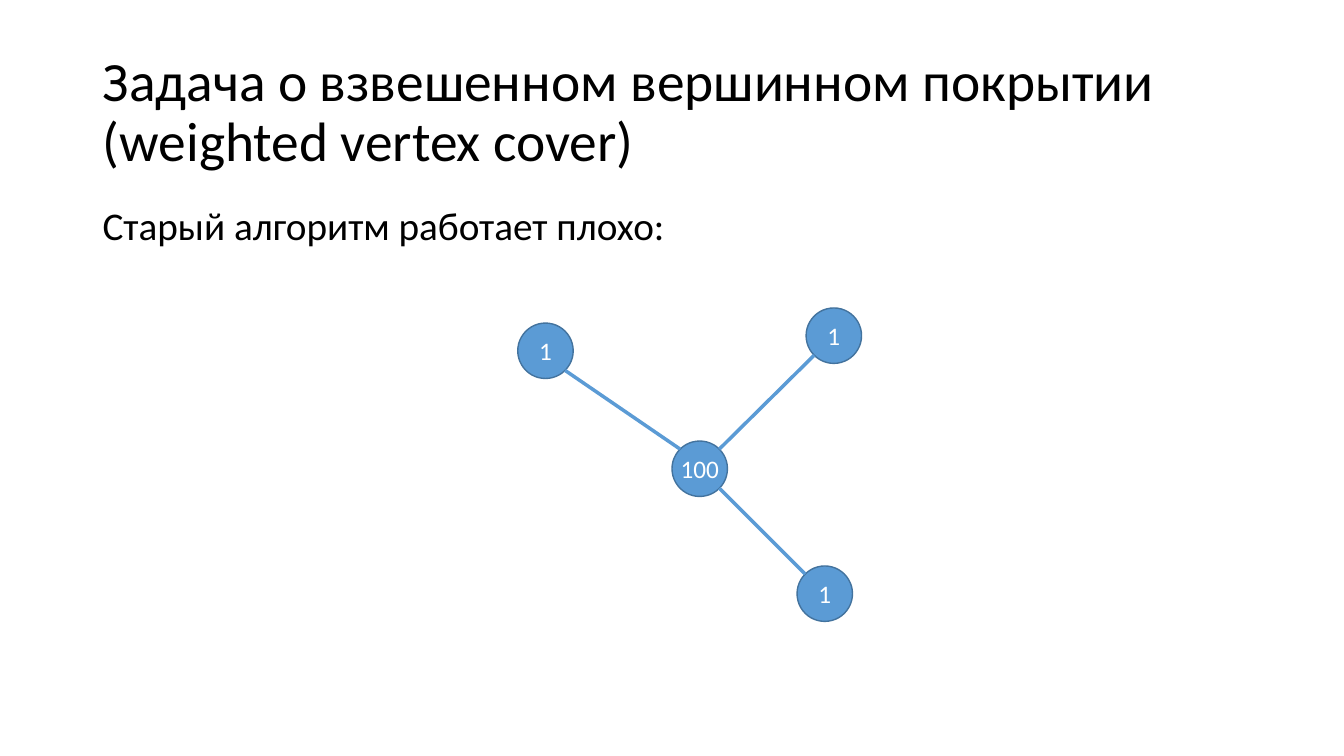
from dataclasses import dataclass
from math import copysign, sqrt

from lxml import etree
from pptx import Presentation
from pptx.dml.color import RGBColor
from pptx.enum.shapes import MSO_CONNECTOR, MSO_SHAPE
from pptx.enum.text import MSO_ANCHOR, MSO_AUTO_SIZE, PP_ALIGN
from pptx.oxml.ns import qn
from pptx.util import Inches, Pt

OVAL, STRAIGHT = MSO_SHAPE.OVAL, MSO_CONNECTOR.STRAIGHT
MIDDLE, TOP, NO_FIT = MSO_ANCHOR.MIDDLE, MSO_ANCHOR.TOP, MSO_AUTO_SIZE.NONE
LEFT, CENTER = PP_ALIGN.LEFT, PP_ALIGN.CENTER

# Content
TITLE = "Задача о взвешенном вершинном покрытии\v(weighted vertex cover)"
STATEMENT = "Старый алгоритм работает плохо:"
# Vertex: weight and centre, in inches
VERTICES = {
    "hub": ("100", 6.94, 4.65),
    "upper right": ("1", 8.27, 3.33),
    "upper left": ("1", 5.41, 3.48),
    "lower right": ("1", 8.18, 5.89),
}
EDGES = [("upper left", "hub"), ("upper right", "hub"), ("hub", "lower right")]

# Layout, in inches
SLIDE_WIDTH, SLIDE_HEIGHT = 13.33, 7.5
MARGIN = 0.92
TEXT_WIDTH = 11.5
TITLE_TOP, TITLE_HEIGHT = 0.4, 1.45
BODY_TOP, BODY_HEIGHT = 2, 4.76
DIAMETER = 0.55


@dataclass(frozen=True)
class Theme:
    font: str = "Calibri"
    ink: RGBColor = RGBColor(0, 0, 0)
    paper: RGBColor = RGBColor(255, 255, 255)
    accent: RGBColor = RGBColor(0x5B, 0x9B, 0xD5)
    outline: RGBColor = RGBColor(0x43, 0x73, 0x9E)
    title_size: float = 39.6
    body_size: float = 28
    weight_size: float = 18
    outline_width: float = 1
    edge_width: float = 2.5
    line_spacing: float = 0.9


THEME = Theme()


def write(shape, text, size, color, align, anchor):
    """Put one formatted paragraph into a shape and return it."""
    frame = shape.text_frame
    frame.auto_size = NO_FIT
    frame.vertical_anchor = anchor
    para = frame.paragraphs[0]
    para.text = text
    para.alignment = align
    para.font.name = THEME.font
    para.font.size = Pt(size)
    para.font.color.rgb = color
    return para


def add_texts(page):
    title = page.shapes.title
    title.left, title.top = Inches(MARGIN), Inches(TITLE_TOP)
    title.width, title.height = Inches(TEXT_WIDTH), Inches(TITLE_HEIGHT)
    heading = write(title, TITLE, THEME.title_size, THEME.ink, LEFT, MIDDLE)

    box = page.shapes.add_textbox(Inches(MARGIN), Inches(BODY_TOP),
                                  Inches(TEXT_WIDTH), Inches(BODY_HEIGHT))
    box.text_frame.word_wrap = True
    statement = write(box, STATEMENT, THEME.body_size, THEME.ink, LEFT, TOP)
    statement.space_before = Pt(10)
    for para in (heading, statement):
        para.line_spacing = THEME.line_spacing


def add_vertex(page, weight, x, y):
    radius = DIAMETER / 2
    vertex = page.shapes.add_shape(OVAL, Inches(x - radius), Inches(y - radius),
                                   Inches(DIAMETER), Inches(DIAMETER))
    vertex.shadow.inherit = False
    vertex.fill.solid()
    vertex.fill.fore_color.rgb = THEME.accent
    vertex.line.color.rgb = THEME.outline
    vertex.line.width = Pt(THEME.outline_width)
    vertex.text_frame.word_wrap = False
    write(vertex, weight, THEME.weight_size, THEME.paper, CENTER, MIDDLE)


def add_edge(page, start, end):
    """Join the diagonal points of two circles that face each other."""
    _, x1, y1 = VERTICES[start]
    _, x2, y2 = VERTICES[end]
    reach = DIAMETER / 2 / sqrt(2)
    dx, dy = copysign(reach, x2 - x1), copysign(reach, y2 - y1)
    edge = page.shapes.add_connector(STRAIGHT, Inches(x1 + dx), Inches(y1 + dy),
                                     Inches(x2 - dx), Inches(y2 - dy))
    edge.line.color.rgb = THEME.accent
    edge.line.width = Pt(THEME.edge_width)
    etree.SubElement(edge._element.spPr, qn("a:effectLst"))


def main():
    deck = Presentation()
    deck.slide_width, deck.slide_height = Inches(SLIDE_WIDTH), Inches(SLIDE_HEIGHT)
    page = deck.slides.add_slide(deck.slide_layouts.get_by_name("Title Only"))
    add_texts(page)
    # Weighted graph
    for vertex in VERTICES.values():
        add_vertex(page, *vertex)
    for edge in EDGES:
        add_edge(page, *edge)
    deck.save("out.pptx")


if __name__ == "__main__":
    main()
